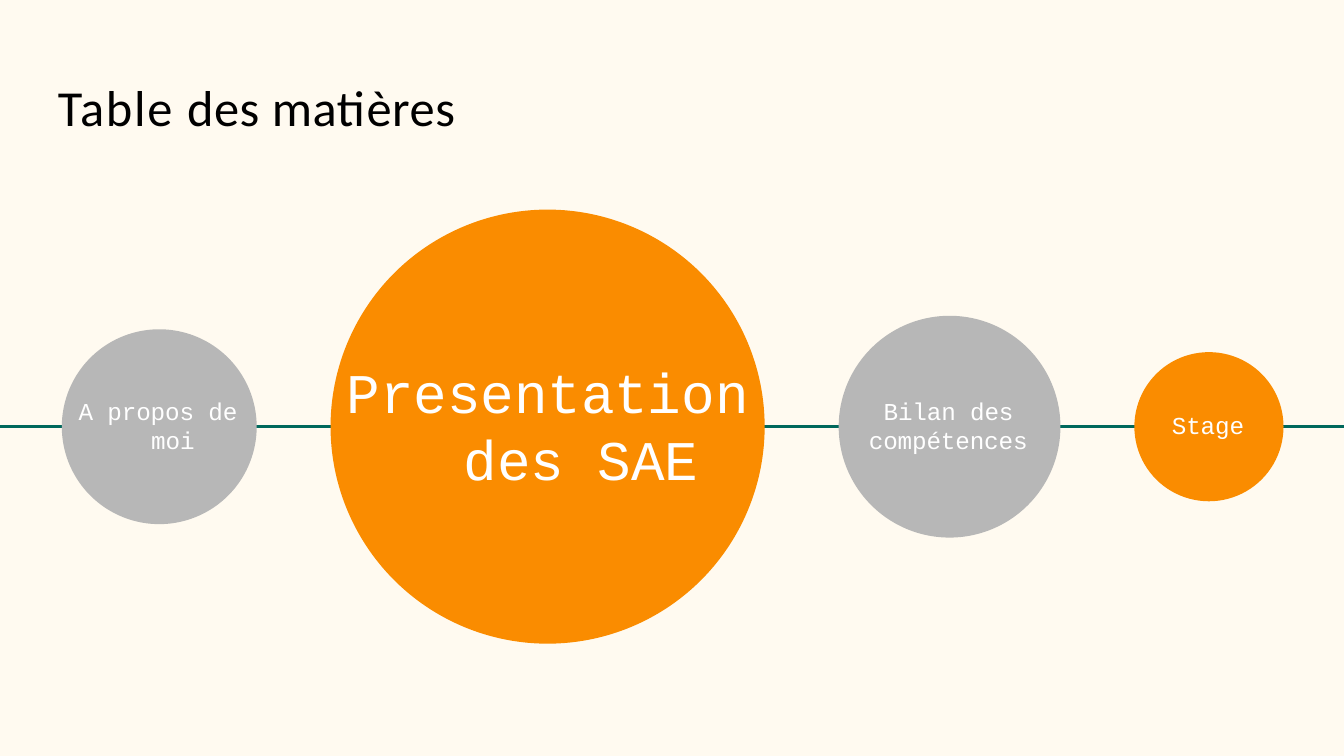
"""Build a table-of-contents slide with circles strung along a line."""
from dataclasses import dataclass

from pptx import Presentation
from pptx.dml.color import RGBColor
from pptx.enum.shapes import MSO_CONNECTOR, MSO_SHAPE
from pptx.oxml.ns import qn
from pptx.slide import Slide
from pptx.text.text import _Paragraph
from pptx.util import Inches, Pt

CREAM = RGBColor(0xFF, 0xFA, 0xF0)
GREEN = RGBColor(0x00, 0x68, 0x5C)
GREY = RGBColor(0xB7, 0xB7, 0xB7)
ORANGE = RGBColor(0xFA, 0x8C, 0x00)
WHITE = RGBColor(0xFF, 0xFF, 0xFF)
BLACK = RGBColor(0x00, 0x00, 0x00)
STRAIGHT = MSO_CONNECTOR.STRAIGHT
OVAL = MSO_SHAPE.OVAL

SLIDE_WIDTH = Inches(10)
SLIDE_HEIGHT = SLIDE_WIDTH * 9 // 16
COLUMNS = 100
AXIS_ROW = 31.75
FIRST_COLUMN = 4.6
GAP = 5.5


@dataclass(frozen=True)
class Topic:
    """A circle and its label, measured in grid columns."""
    text: str
    diameter: float
    color: RGBColor
    label_width: float
    label_height: float
    size: int = 13
    margin: float = 0.1
    indent: float = 0


TOPICS = (
    Topic("A propos de moi", 14.5, GREY, 12.2, 4.6, margin=5.5, indent=-5.4),
    Topic("Presentation des SAE", 32.3, ORANGE, 30.3, 10.3, 30, 8.9, -8.7),
    Topic("Bilan des compétences", 16.5, GREY, 12.2, 4.6, indent=1.1),
    Topic("Stage", 11.1, ORANGE, 5.7, 2.4),
)
TITLE_RUNS = (("Table ", 0.9), ("des ", 0.25), ("matières", 0.35))


def grid(cells: float) -> int:
    """Convert grid cells to a length."""
    return round(SLIDE_WIDTH * cells / COLUMNS)


def add_text(slide: Slide, left: float, top: float, width: float, height: float,
             runs: tuple[tuple[str, float], ...], size: int, font_name: str,
             color: RGBColor) -> _Paragraph:
    """Add a text box holding one paragraph of letter-spaced runs."""
    shape = slide.shapes.add_textbox(grid(left), grid(top), grid(width), grid(height))
    frame = shape.text_frame
    frame.word_wrap = True
    frame.margin_left = frame.margin_right = frame.margin_bottom = 0
    frame.margin_top = grid(0.1)
    paragraph = frame.paragraphs[0]
    paragraph.space_before = Pt(1)
    paragraph.font.size = Pt(size)
    paragraph.font.name = font_name
    paragraph.font.color.rgb = color
    for text, spacing in runs:
        run = paragraph.add_run()
        run.text = text
        run.font._element.set("spc", str(round(spacing * 100)))
    return paragraph


def add_axis(slide: Slide) -> None:
    """Draw the line across the whole slide."""
    axis = slide.shapes.add_connector(STRAIGHT, 0, grid(AXIS_ROW), SLIDE_WIDTH, grid(AXIS_ROW))
    axis.line.color.rgb = GREEN
    axis.line.width = Pt(1.5)
    properties = axis._element.spPr
    properties.append(properties.makeelement(qn("a:effectLst"), {}))


def add_topic(slide: Slide, topic: Topic, left: float) -> None:
    """Draw a circle on the axis with its label in the middle."""
    circle = slide.shapes.add_shape(OVAL, grid(left), grid(AXIS_ROW - topic.diameter / 2),
                                    grid(topic.diameter), grid(topic.diameter))
    circle.shadow.inherit = False
    circle.fill.solid()
    circle.fill.fore_color.rgb = topic.color
    circle.line.fill.background()
    paragraph = add_text(slide, left + (topic.diameter - topic.label_width) / 2,
                         AXIS_ROW - 0.1 - topic.label_height / 2,
                         topic.label_width, topic.label_height,
                         ((topic.text, -0.05),), topic.size, "Courier New", WHITE)
    properties = paragraph._p.get_or_add_pPr()
    properties.set("marL", str(grid(topic.margin)))
    properties.set("indent", str(grid(topic.indent)))


def main() -> None:
    """Build and save the presentation."""
    presentation = Presentation()
    presentation.slide_width = SLIDE_WIDTH
    presentation.slide_height = SLIDE_HEIGHT
    slide = presentation.slides.add_slide(presentation.slide_layouts[6])
    slide.background.fill.solid()
    slide.background.fill.fore_color.rgb = CREAM
    add_axis(slide)
    add_text(slide, 4.3, 5.55, 30.5, 4.8, TITLE_RUNS, 27, "Calibri", BLACK)
    left = FIRST_COLUMN
    for topic in TOPICS:
        add_topic(slide, topic, left)
        left += topic.diameter + GAP
    presentation.save("out.pptx")


if __name__ == "__main__":
    main()
